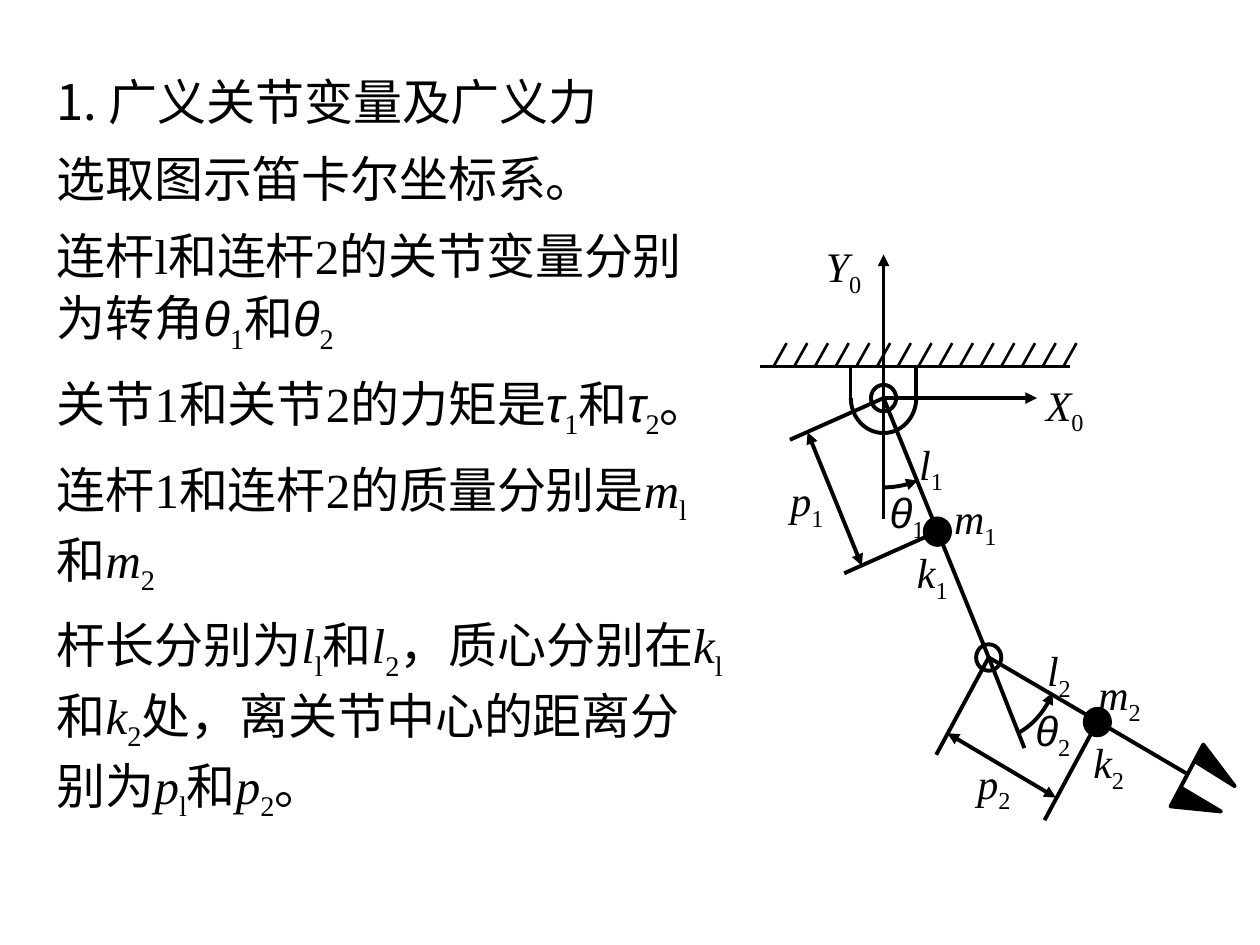
import math

from lxml import etree
from pptx import Presentation
from pptx.dml.color import RGBColor
from pptx.enum.shapes import MSO_CONNECTOR, MSO_SHAPE
from pptx.enum.text import MSO_ANCHOR, MSO_AUTO_SIZE, PP_ALIGN
from pptx.oxml.ns import qn
from pptx.util import Pt

STRAIGHT, ELLIPSE = MSO_CONNECTOR.STRAIGHT, MSO_SHAPE.OVAL
MIDDLE, CENTER, NO_FIT = MSO_ANCHOR.MIDDLE, PP_ALIGN.CENTER, MSO_AUTO_SIZE.NONE
SERIF, GREEK, HAN = "Times New Roman", "Arial", "Noto Sans CJK SC"
BLACK = "000000"
THICK, THIN = 2.25, 1.5

# Content: pieces between bars; a piece with "_" is a symbol and its subscript
HEADING = "1. 广义关节变量及广义力"
STATEMENTS = [
    "选取图示笛卡尔坐标系。",
    "连杆l和连杆2的关节变量分别为转角|θ_1|和|θ_2",
    "关节1和关节2的力矩是|τ_1|和|τ_2|。",
    "连杆1和连杆2的质量分别是|m_l|和|m_2",
    "杆长分别为|l_l|和|l_2|，质心分别在|k_l|和|k_2|处，离关节中心的距离分别为|p_l|和|p_2|。",
]
LABELS = [  # symbol, left, top, width, height
    ("l_1", 506.9, 247, 50.4, 38.9),
    ("k_1", 510.5, 308.9, 44.6, 36),
    ("m_2", 611.3, 378.7, 56.9, 50.4),
    ("k_2", 612, 417.6, 43.2, 38.9),
    ("m_1", 532.8, 277.9, 49, 45.4),
    ("θ_2", 578.2, 398.9, 46.8, 38.9),
    ("θ_1", 498.2, 274.3, 40.3, 37.4),
    ("p_2", 540.7, 429.1, 54.7, 44.6),
    ("l_2", 579.6, 365, 51.1, 47.5),
    ("p_1", 433.4, 267.8, 55.4, 43.2),
    ("X_0", 583.2, 213.1, 50.4, 43.9),
    ("Y_0", 453.6, 133.9, 56.9, 47.5),
]

# Key points of the two-link arm
BASE, ELBOW, TIP = (504.9, 227.5), (565, 375.7), (678.2, 442.1)
MASS_1, MASS_2 = (535.7, 303.8), (627.1, 412.6)
GROUND_Y = 209.3
LINES = [  # from, to, arrow ends
    ((504.9, 296.6), (504.9, 145.4), ["tailEnd"]),
    (BASE, (592.6, 227.5), ["tailEnd"]),
    ((486, 228.2), (486, GROUND_Y), []),
    ((523.6, 228.2), (523.6, GROUND_Y), []),
    (BASE, ELBOW, []),
    (ELBOW, TIP, []),
    (ELBOW, (585.4, 427.5), []),
    ((451.4, 251.3), BASE, []),
    ((482.4, 327.6), MASS_1, []),
    ((461.5, 247), (492.5, 323.3), ["headEnd", "tailEnd"]),
    ((535, 431.3), ELBOW, []),
    ((596.9, 468.7), MASS_2, []),
    ((541.4, 419), (603.4, 455.8), ["headEnd", "tailEnd"]),
]
ARCS = [  # centre, radii, start and end degrees, arrow ends
    (BASE, (51, 51), 67.5, 90, ["headEnd"]),
    (ELBOW, (40.3, 47.5), 25, 65, ["headEnd"]),
    (BASE, (18.7, 20), 0, 180, []),
]
GRIPPER = [(705.6, 449.3), (687.6, 425.5), (668.9, 460.8),
           (697.7, 463.7), (674.6, 450), (682.6, 434.9)]
HATCH_COUNT, HATCH_LEFT, HATCH_STEP = 15, 442.1, 11.83
HATCH_RUN, HATCH_RISE = 7.4, 13.2


def color(value):
    return RGBColor.from_string(value)


def write(paragraph, text, size, font=SERIF):
    paragraph.font.size = Pt(size)
    paragraph.font.name = font
    paragraph.font.color.rgb = color(BLACK)
    for piece in text.split("|"):
        symbol, mark, subscript = piece.partition("_")
        run = paragraph.add_run()
        run.text = symbol
        if mark:
            run.font.italic = True
            if symbol in "θτ":
                run.font.name = GREEK
            low = paragraph.add_run()
            low.text = subscript
            low.font._element.set("baseline", "-25000")


def stroke(shape, width=THICK, arrows=()):
    shape.line.color.rgb = color(BLACK)
    shape.line.width = Pt(width)
    for end in arrows:
        etree.SubElement(shape.line._get_or_add_ln(), qn("a:" + end), type="triangle")


def paint(shape, filled):
    shape.shadow.inherit = False
    if filled:
        shape.fill.solid()
        shape.fill.fore_color.rgb = color(BLACK)
    else:
        shape.fill.background()


def add_line(start, end, width=THICK, arrows=()):
    line = slide.shapes.add_connector(STRAIGHT, *(Pt(v) for v in (*start, *end)))
    stroke(line, width, arrows)
    etree.SubElement(line._element.spPr, qn("a:effectLst"))


def add_outline(points, closed, arrows=()):
    corners = [(Pt(x), Pt(y)) for x, y in points]
    builder = slide.shapes.build_freeform(*corners[0])
    builder.add_line_segments(corners[1:], close=closed)
    outline = builder.convert_to_shape()
    paint(outline, closed)
    stroke(outline, THICK, arrows)


def add_circle(center, filled, width=14.4, height=15.1):
    x, y = center
    circle = slide.shapes.add_shape(
        ELLIPSE, Pt(x - width / 2), Pt(y - height / 2), Pt(width), Pt(height))
    paint(circle, filled)
    stroke(circle)


prs = Presentation()
prs.slide_width, prs.slide_height = Pt(720), Pt(540)
slide = prs.slides.add_slide(prs.slide_layouts[1])
title = slide.shapes.title._element
title.getparent().remove(title)

# Explanation on the left
body = slide.placeholders[1]
body.left, body.top, body.width, body.height = Pt(25.2), Pt(18), Pt(396.7), Pt(473)
frame = body.text_frame
frame.auto_size, frame.vertical_anchor, frame.word_wrap = NO_FIT, MIDDLE, True
for index, text in enumerate([HEADING] + STATEMENTS):
    paragraph = frame.add_paragraph() if index else frame.paragraphs[0]
    paragraph.line_spacing, paragraph.space_before = 1.05, Pt(8.8)
    write(paragraph, text, 28, SERIF if index else HAN)
    properties = paragraph._p.get_or_add_pPr()
    properties.set("marL", "0")
    properties.set("indent", "0")
    properties.find(qn("a:defRPr")).addprevious(etree.Element(qn("a:buNone")))

# Symbols of the diagram
for symbol, left, top, width, height in LABELS:
    label = slide.shapes.add_textbox(Pt(left), Pt(top), Pt(width), Pt(height))
    label.text_frame.word_wrap = True
    paragraph = label.text_frame.paragraphs[0]
    paragraph.alignment = CENTER
    write(paragraph, symbol, 24)

# Hatched ceiling
add_line((434.2, GROUND_Y), (611.3, GROUND_Y), THIN)
for index in range(HATCH_COUNT):
    x = HATCH_LEFT + index * HATCH_STEP
    add_line((x, GROUND_Y), (x + HATCH_RUN, GROUND_Y - HATCH_RISE), THIN)

# Links, axes, dimensions and arcs
for start, end, arrows in LINES:
    add_line(start, end, arrows=arrows)
for (x, y), (rx, ry), first, last, arrows in ARCS:
    angles = [math.radians(first + (last - first) * i / 24) for i in range(25)]
    add_outline([(x + rx * math.cos(a), y + ry * math.sin(a)) for a in angles],
                False, arrows)

# Joints, masses and gripper
for center, filled in [(BASE, False), (ELBOW, False), (MASS_1, True), (MASS_2, True)]:
    add_circle(center, filled)
add_outline(GRIPPER, True)

prs.save("out.pptx")
